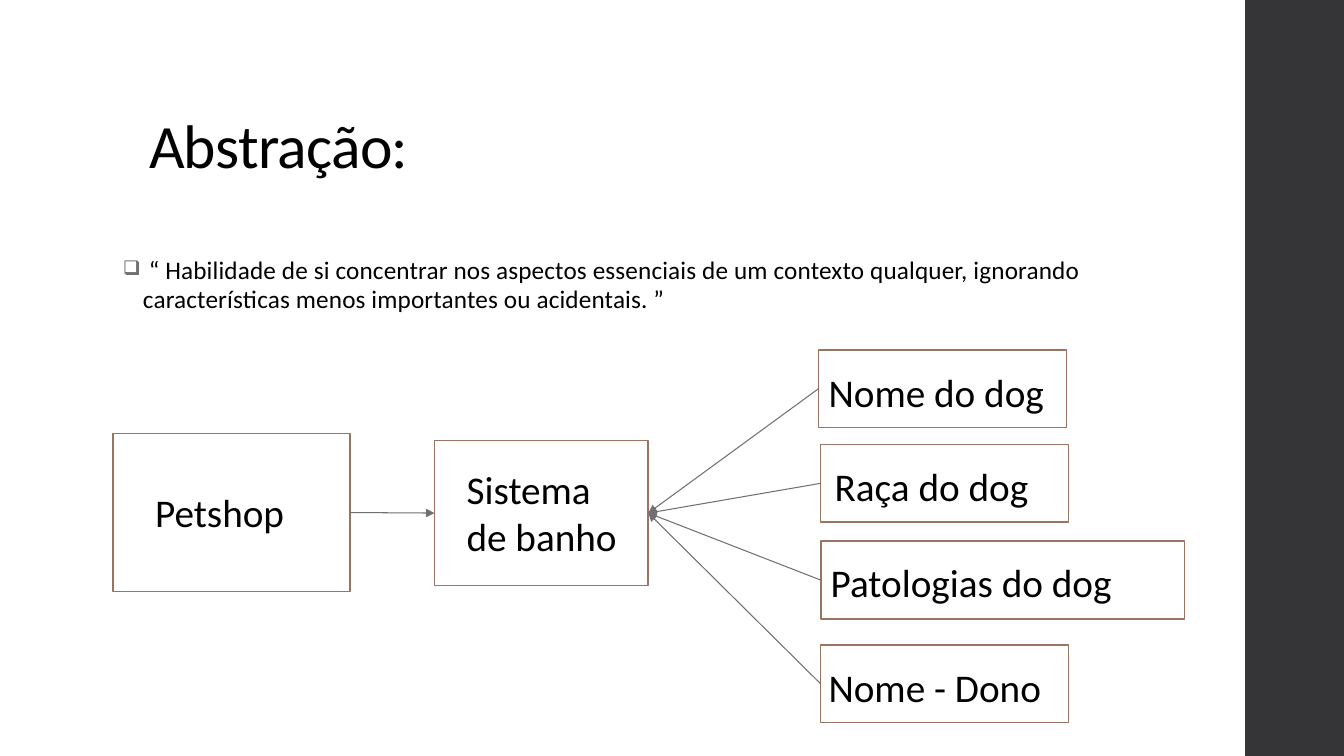
"""Build the "Abstração" slide: a definition and a petshop diagram."""
from lxml import etree
from pptx import Presentation
from pptx.dml.color import RGBColor
from pptx.enum.shapes import MSO_CONNECTOR, MSO_SHAPE
from pptx.enum.text import MSO_ANCHOR
from pptx.oxml.ns import qn
from pptx.util import Inches, Pt

RECTANGLE = MSO_SHAPE.RECTANGLE
STRAIGHT = MSO_CONNECTOR.STRAIGHT
TOP, BOTTOM = MSO_ANCHOR.TOP, MSO_ANCHOR.BOTTOM
LEFT_SIDE, RIGHT_SIDE = 1, 3
GREY = "6F6F74"


def color(hex_string):
    return RGBColor.from_string(hex_string)


def add_text(page, place, text, size, anchor=TOP):
    box = page.shapes.add_textbox(*map(Inches, place))
    box.text_frame.word_wrap = True
    box.text_frame.vertical_anchor = anchor
    para = box.text_frame.paragraphs[0]
    para.text = text
    return para, size


deck = Presentation()
deck.slide_width, deck.slide_height = Inches(13.33), Inches(7.5)
page = deck.slides.add_slide(deck.slide_layouts[6])

side_band = page.shapes.add_shape(RECTANGLE, Inches(12.35), 0, Inches(0.98), Inches(7.5))
side_band.shadow.inherit = False
side_band.fill.solid()
side_band.fill.fore_color.rgb = color("353537")
side_band.line.fill.background()

title = add_text(page, (1.38, 0.4, 10.6, 1.45), "Abstração:", 44, BOTTOM)
title[0].line_spacing = 0.9
title[0].runs[0].font._element.set("spc", "-50")

definition = add_text(
    page, (1.12, 2.5, 10.63, 1.03),
    " “ Habilidade de si concentrar nos aspectos essenciais de um contexto qualquer, "
    "ignorando características menos importantes ou acidentais. ”", 18)
definition[0].line_spacing = 0.95
definition[0].space_after = Pt(2)
definition[0].runs[0].font._element.set("spc", "10")
properties = definition[0]._p.get_or_add_pPr()
properties.set("marL", str(Inches(0.2)))
properties.set("indent", str(Inches(-0.2)))
bullet_color = etree.SubElement(properties, qn("a:buClr"))
etree.SubElement(bullet_color, qn("a:srgbClr"), val=GREY)
etree.SubElement(properties, qn("a:buSzPct"), val="80000")
etree.SubElement(properties, qn("a:buChar"), char="❑")

nodes = [
    ("Petshop", (1.12, 4.3, 2.35, 1.57), (1.44, 4.8, 1.72, 0.57)),
    ("Sistema de banho", (4.31, 4.37, 2.12, 1.44), (4.53, 4.57, 1.86, 1.04)),
    ("Nome do dog", (8.12, 3.47, 2.46, 0.77), (8.12, 3.6, 2.39, 0.57)),
    ("Raça do dog", (8.14, 4.41, 2.46, 0.77), (8.18, 4.54, 2.41, 0.57)),
    ("Patologias do dog", (8.14, 5.37, 3.61, 0.77), (8.14, 5.49, 3.61, 0.57)),
    ("Nome - Dono", (8.14, 6.4, 2.46, 0.77), (8.12, 6.53, 2.46, 0.57)),
]
frames, labels = [], []
for text, frame_place, label_place in nodes:
    frame = page.shapes.add_shape(RECTANGLE, *map(Inches, frame_place))
    frame.shadow.inherit = False
    frame.fill.solid()
    frame.fill.fore_color.rgb = color("FFFFFF")
    frame.line.color.rgb = color("9B7362")
    frame.line.width = Pt(1.1)
    frames.append(frame)
    labels.append(add_text(page, label_place, text, 28))

for para, size in [title, definition, *labels]:
    para.font.name = "Calibri"
    para.font.size = Pt(size)
    para.font.color.rgb = color("000000")

petshop, bath_system, *details = frames
links = [(petshop, RIGHT_SIDE, LEFT_SIDE)]
links += [(detail, LEFT_SIDE, RIGHT_SIDE) for detail in details]
for source, source_side, system_side in links:
    arrow = page.shapes.add_connector(STRAIGHT, 0, 0, 0, 0)
    arrow.begin_connect(source, source_side)
    arrow.end_connect(bath_system, system_side)
    arrow.line.color.rgb = color(GREY)
    arrow.line.width = Pt(0.75)
    etree.SubElement(arrow.line._get_or_add_ln(), qn("a:tailEnd"), type="triangle")
    etree.SubElement(arrow._element.spPr, qn("a:effectLst"))

deck.save("out.pptx")
